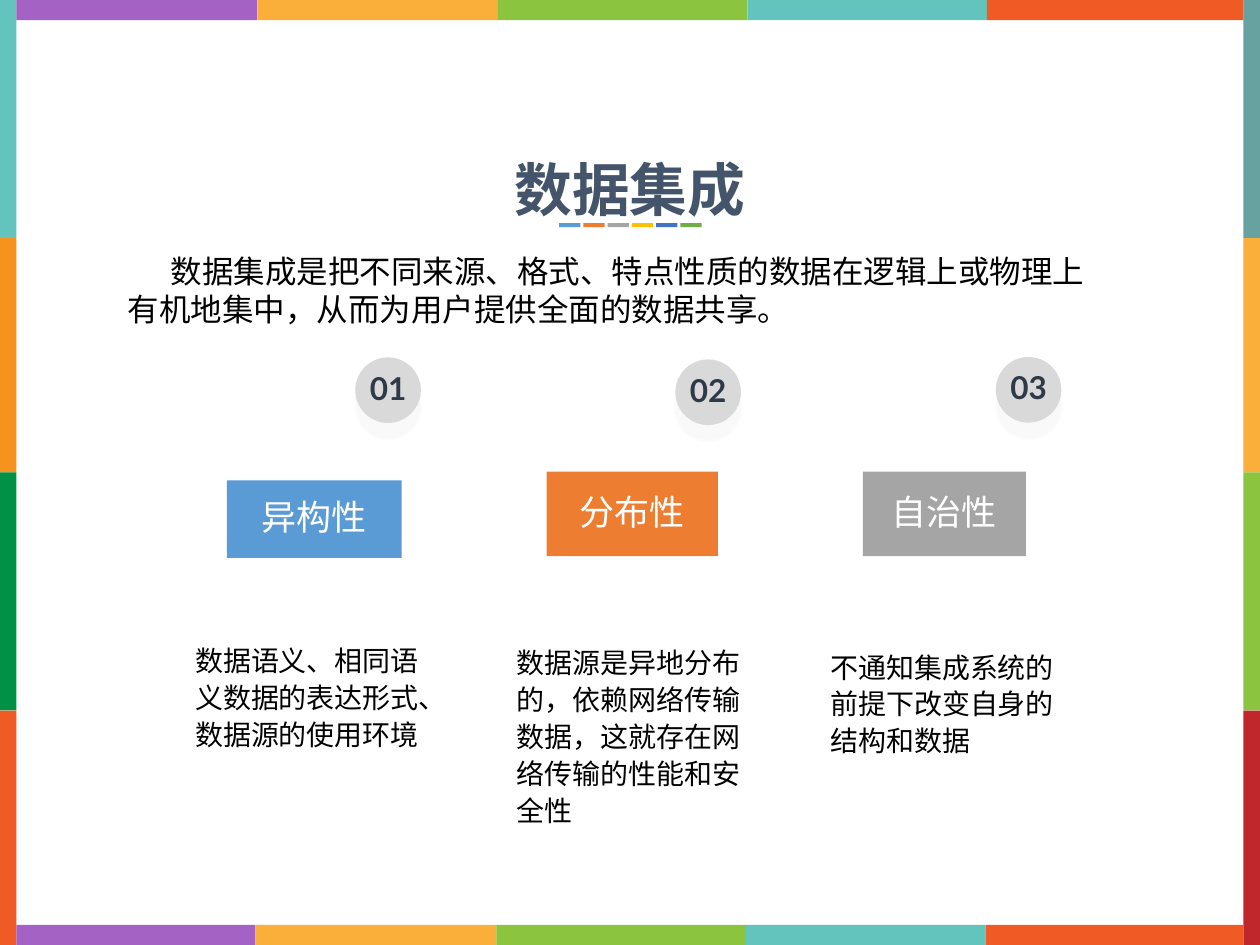
"""Build the slide on data integration and its three characteristics."""
from itertools import pairwise

from lxml.etree import SubElement
from pptx import Presentation
from pptx.dml.color import RGBColor
from pptx.enum.shapes import MSO_SHAPE
from pptx.enum.text import MSO_ANCHOR, MSO_AUTO_SIZE, PP_ALIGN
from pptx.oxml.ns import qn
from pptx.util import Pt


def add_block(kind, left, top, width, height, color):
    block = slide.shapes.add_shape(kind, Pt(left), Pt(top), Pt(width), Pt(height))
    block.shadow.inherit = False
    block.fill.solid()
    block.fill.fore_color.rgb = RGBColor.from_string(color)
    block.line.fill.background()
    return block


def write(shape, text, size, font, color, bold=False, align=PP_ALIGN.LEFT,
          anchor=MSO_ANCHOR.TOP, insets=(7.2, 3.6, 7.2, 3.6)):
    frame = shape.text_frame
    frame.text = text
    frame.word_wrap = True
    frame.auto_size = MSO_AUTO_SIZE.NONE
    frame.vertical_anchor = anchor
    frame.margin_left, frame.margin_top, frame.margin_right, frame.margin_bottom = map(Pt, insets)
    paragraph = frame.paragraphs[0]
    paragraph.alignment = align
    run_font = paragraph.runs[0].font
    run_font.name, run_font.size, run_font.bold = font, Pt(size), bold
    run_font.color.rgb = RGBColor.from_string(color)
    return paragraph


presentation = Presentation()
presentation.slide_width, presentation.slide_height = Pt(720), Pt(540)
slide = presentation.slides.add_slide(presentation.slide_layouts[5])

side_edges = [0, 136, 270, 406, 540]
side_colors = [(0, ["62C4BC", "F6921E", "009145", "F05A24"]),
               (710.6, ["67A1A0", "FAAF3B", "8BC53F", "C0272D"])]
for left, colors in side_colors:
    for (start, end), color in zip(pairwise(side_edges), colors):
        add_block(MSO_SHAPE.RECTANGLE, left, start, 9.4, end - start, color)

band_colors = ["A362C4", "FAAF3B", "8BC53F", "62C4BC", "F05A24"]
for top, band_edges in [(0, [9.4, 147, 284.5, 427, 564, 710.6]),
                        (528.5, [9.4, 146, 283.7, 426.2, 563.3, 710.6])]:
    for (start, end), color in zip(pairwise(band_edges), band_colors):
        add_block(MSO_SHAPE.RECTANGLE, start, top, end - start, 11.5, color)

title = slide.shapes.title
title.left, title.top, title.width, title.height = Pt(51), Pt(84.2), Pt(618), Pt(47.5)
write(title, "数据集成", 33, "Lato", "44546A", True, PP_ALIGN.CENTER)

accents = ["5B9BD5", "ED7D31", "A5A5A5", "FFC000", "4472C4", "70AD47"]
for index, color in enumerate(accents):
    add_block(MSO_SHAPE.RECTANGLE, 319.5 + 13.85 * index, 127.6, 12.2, 2.2, color)

definition = slide.shapes.add_textbox(Pt(66), Pt(140.4), Pt(575.3), Pt(51))
opening = write(definition, "数据集成是把不同来源、格式、特点性质的数据在逻辑上或物理上有机地集中，从而为用户提供全面的数据共享。",
                18, "Calibri", "000000")
opening_properties = opening._p.get_or_add_pPr()
opening_properties.set("marL", "0")
opening_properties.set("indent", str(Pt(24.4)))

traits = [
    ("01", (203, 204.2), "异构性", (129.7, 274.5, 99.9, 44.3), "5B9BD5",
     "数据语义、相同语义数据的表达形式、数据源的使用环境", (108.7, 364.3, 88)),
    ("02", (385.9, 205.4), "分布性", (312.4, 269.5, 97.9, 48.3), "ED7D31",
     "数据源是异地分布的，依赖网络传输数据，这就存在网络传输的性能和安全性", (292.5, 365.8, 109.5)),
    ("03", (569, 204), "自治性", (493.1, 269.5, 93.2, 48.3), "A5A5A5",
     "不通知集成系统的前提下改变自身的结构和数据", (471.7, 368.2, 67)),
]
for number, badge_at, name, name_box, color, detail, (left, top, height) in traits:
    badge = add_block(MSO_SHAPE.OVAL, *badge_at, 37.5, 37.5, "D9D9D9")
    effects = badge._element.spPr.find(qn("a:effectLst"))
    shadow = SubElement(effects, qn("a:outerShdw"), blurRad=str(Pt(1)), dist=str(Pt(9)),
                        dir="5400000", algn="t", rotWithShape="0")
    shadow_color = SubElement(shadow, qn("a:srgbClr"), val="E7E6E6")
    SubElement(shadow_color, qn("a:alpha"), val="20000")
    write(badge, number, 18, "Lato", "2F3A49", True, PP_ALIGN.CENTER,
          MSO_ANCHOR.MIDDLE, (0, 0, 0, 2.9))

    heading = add_block(MSO_SHAPE.RECTANGLE, *name_box, color)
    write(heading, name, 20, "Lato", "FFFFFF", False, PP_ALIGN.CENTER,
          MSO_ANCHOR.MIDDLE, (7.2, 3.6, 7.2, 6.5))

    description = slide.shapes.add_textbox(Pt(left), Pt(top), Pt(134.8), Pt(height))
    write(description, detail, 16, "Calibri", "000000",
          insets=(2.9, 1.4, 2.9, 1.4)).line_spacing = 1.1

presentation.save("out.pptx")
